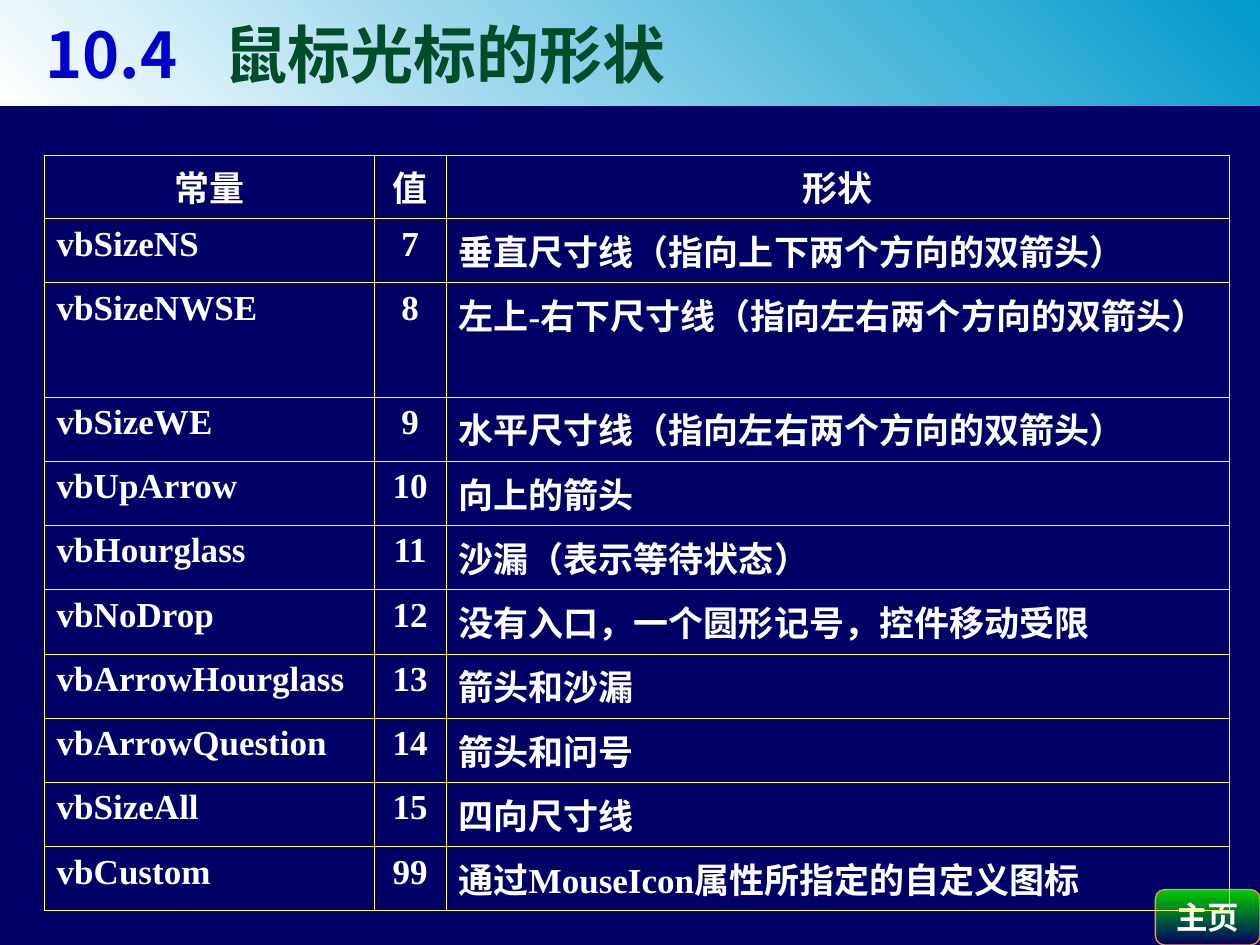
from typing import NamedTuple

from lxml.etree import SubElement as Sub
from pptx import Presentation
from pptx.dml.color import RGBColor as Rgb
from pptx.enum.shapes import MSO_SHAPE as Kind
from pptx.enum.text import MSO_ANCHOR as Anchor, MSO_AUTO_SIZE as Fit, PP_ALIGN as Align
from pptx.oxml.ns import qn
from pptx.util import Inches, Pt

COLORS = {
    "navy": "000066", "white": "FFFFFF", "sky": "0099CC", "blue": "0000CC",
    "pine": "004C2B", "green": "00CC00", "orange": "FF9933", "yellow": "FFFF66",
}
SERIF, SANS, KANJI = "Times New Roman", "Noto Sans CJK SC", "Noto Sans CJK JP"
WIDE, HIGH = Inches(10), Inches(7.5)
COLS = (2.62, 0.57, 6.22)
HEAD, ROW, TALL = 0.49, 0.51, 0.77


class Box(NamedTuple):
    left: float
    top: float
    width: float
    height: float

    def scale(self) -> list[int]:
        return [round(part * side) for part, side in zip(self, (WIDE, HIGH) * 2)]


class Item(NamedTuple):
    name: str
    value: str
    look: str
    height: float = ROW


ITEMS = (
    Item("常量", "值", "形状", HEAD),
    Item("vbSizeNS", "7", "垂直尺寸线（指向上下两个方向的双箭头）"),
    Item("vbSizeNWSE", "8", "左上-右下尺寸线（指向左右两个方向的双箭头）", TALL),
    Item("vbSizeWE", "9", "水平尺寸线（指向左右两个方向的双箭头）"),
    Item("vbUpArrow", "10", "向上的箭头"),
    Item("vbHourglass", "11", "沙漏（表示等待状态）"),
    Item("vbNoDrop", "12", "没有入口，一个圆形记号，控件移动受限"),
    Item("vbArrowHourglass", "13", "箭头和沙漏"),
    Item("vbArrowQuestion", "14", "箭头和问号"),
    Item("vbSizeAll", "15", "四向尺寸线"),
    Item("vbCustom", "99", "通过MouseIcon属性所指定的自定义图标"),
)


def color(name: str) -> Rgb:
    return Rgb.from_string(COLORS[name])


def style(run, size: float, tint: str, face: str = SERIF, east: str = SANS) -> None:
    font = run.font
    font.size, font.bold, font.name = Pt(size), True, face
    font.color.rgb = color(tint)
    Sub(font._element, qn("a:ea"), typeface=east)


def blend(shape, first: str, last: str, angle: float) -> None:
    shape.fill.gradient()
    shape.fill.gradient_angle = angle
    for stop, name, place in zip(shape.fill.gradient_stops, (first, last), (0, 1)):
        stop.color.rgb = color(name)
        stop.position = place


def draw_title(slide, box: Box) -> None:
    title = slide.shapes.title
    title.left, title.top, title.width, title.height = box.scale()
    blend(title, "white", "sky", 45)
    frame = title.text_frame
    frame.auto_size, frame.vertical_anchor = Fit.NONE, Anchor.MIDDLE
    frame.margin_left = Inches(0.36)
    line = frame.paragraphs[0]
    line.alignment = Align.LEFT
    tabs = Sub(line._p.get_or_add_pPr(), qn("a:tabLst"))
    Sub(tabs, qn("a:tab"), pos=str(Inches(1.42)), algn="l")
    for text, tint, face in (("10.4\t", "blue", KANJI), ("鼠标光标的形状", "pine", SANS)):
        run = line.add_run()
        run.text = text
        style(run, 36, tint, face, face)


def draw_home(slide, box: Box) -> None:
    home = slide.shapes.add_shape(Kind.ROUNDED_RECTANGLE, *box.scale())
    home.shadow.inherit = False
    blend(home, "green", "navy", 270)
    home.line.color.rgb = color("orange")
    home.line.width = Pt(0.75)
    frame = home.text_frame
    frame.word_wrap, frame.vertical_anchor = False, Anchor.MIDDLE
    frame.text = "主页"
    line = frame.paragraphs[0]
    line.alignment = Align.CENTER
    style(line.runs[0], 18, "white")


def frame_cell(cell, tint: str, width: float) -> None:
    props = cell._tc.get_or_add_tcPr()
    for side in ("lnL", "lnR", "lnT", "lnB"):
        edge = Sub(props, qn(f"a:{side}"), w=str(Pt(width)))
        Sub(Sub(edge, qn("a:solidFill")), qn("a:srgbClr"), val=COLORS[tint])
    cell.fill.background()


def draw_table(slide, box: Box) -> None:
    table = slide.shapes.add_table(len(ITEMS), len(COLS), *box.scale()).table
    table.first_row = table.horz_banding = False
    for col, width in zip(table.columns, COLS):
        col.width = Inches(width)
    for row, item in enumerate(ITEMS):
        table.rows[row].height = Inches(item.height)
        for col, text in enumerate(item[:3]):
            cell = table.cell(row, col)
            cell.text_frame.text = text
            line = cell.text_frame.paragraphs[0]
            line.alignment = Align.CENTER if row == 0 or col == 1 else Align.LEFT
            style(line.runs[0], 20, "white")
            frame_cell(cell, "yellow", 0.45)


def main() -> None:
    deck = Presentation()
    deck.slide_width, deck.slide_height = WIDE, HIGH
    slide = deck.slides.add_slide(deck.slide_layouts[5])
    slide.background.fill.solid()
    slide.background.fill.fore_color.rgb = color("navy")
    draw_title(slide, Box(0, 0, 1, 0.84 / 7.5))
    draw_home(slide, Box(0.917, 7.06 / 7.5, 0.083, 0.44 / 7.5))
    draw_table(slide, Box(0.035, 1.23 / 7.5, 0.941, 5.83 / 7.5))
    deck.save("out.pptx")


if __name__ == "__main__":
    main()
